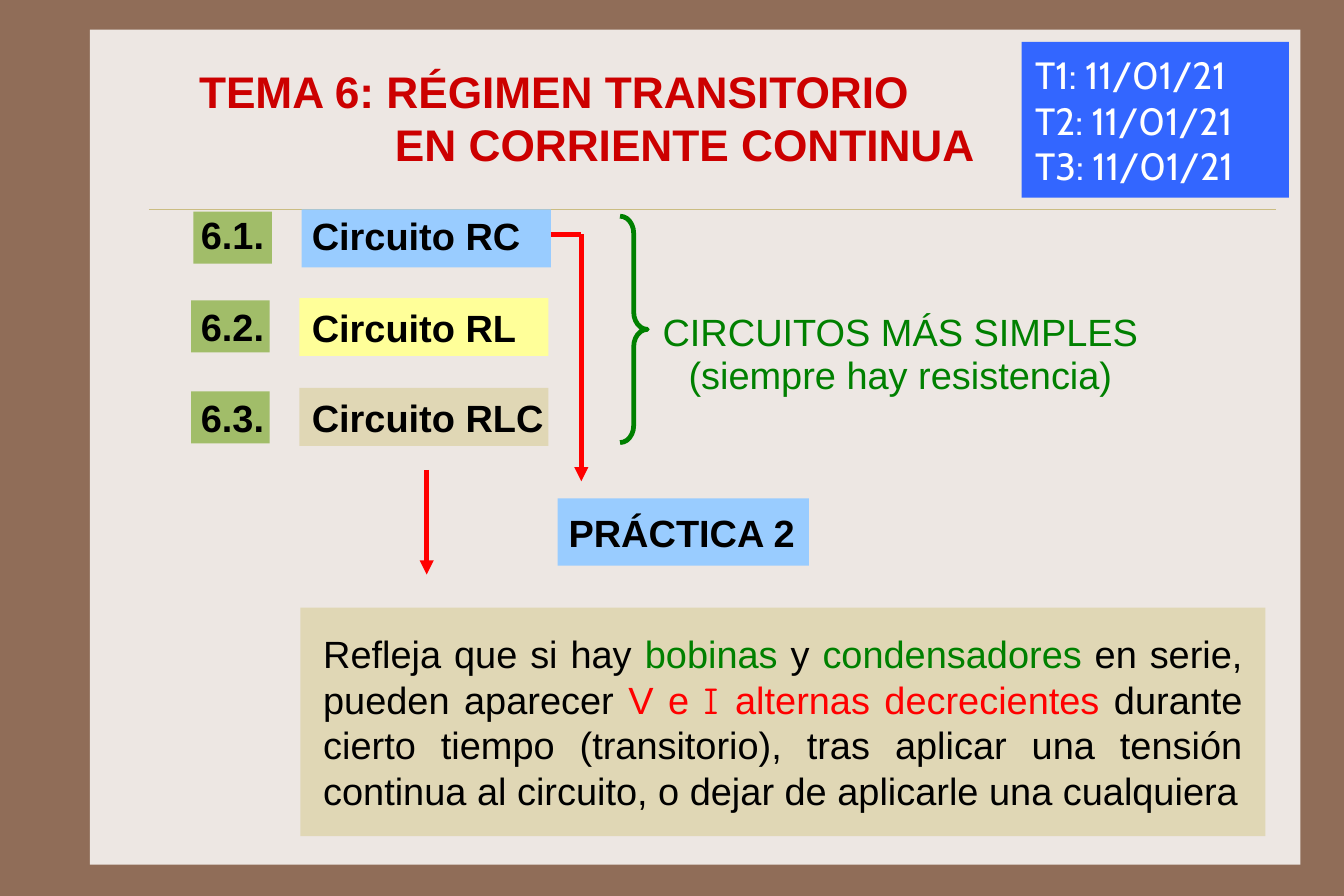
from lxml import etree
from pptx import Presentation
from pptx.dml.color import RGBColor
from pptx.enum.shapes import MSO_CONNECTOR, MSO_SHAPE
from pptx.enum.text import MSO_ANCHOR, PP_ALIGN
from pptx.oxml.ns import qn
from pptx.util import Pt

RECT, BRACE = MSO_SHAPE.RECTANGLE, MSO_SHAPE.RIGHT_BRACE
STRAIGHT = MSO_CONNECTOR.STRAIGHT
MIDDLE = MSO_ANCHOR.MIDDLE
LEFT, CENTER, JUSTIFY = PP_ALIGN.LEFT, PP_ALIGN.CENTER, PP_ALIGN.JUSTIFY

BROWN = RGBColor(0x90, 0x6D, 0x58)
PAPER = RGBColor(0xED, 0xE7, 0xE3)
RULE = RGBColor(0xCB, 0xBD, 0x83)
RED = RGBColor(0xFF, 0x00, 0x00)
DARK_RED = RGBColor(0xCC, 0x00, 0x00)
GREEN = RGBColor(0x00, 0x80, 0x00)
CHIP_GREEN = RGBColor(0xA1, 0xBD, 0x69)
SKY = RGBColor(0x99, 0xCC, 0xFF)
YELLOW = RGBColor(0xFF, 0xFF, 0x99)
SAND = RGBColor(0xE0, 0xD7, 0xB5)
BLUE = RGBColor(0x33, 0x66, 0xFF)
BLACK = RGBColor(0x00, 0x00, 0x00)
WHITE = RGBColor(0xFF, 0xFF, 0xFF)

prs = Presentation()
prs.slide_width, prs.slide_height = Pt(850.5), Pt(567)
s = prs.slides.add_slide(prs.slide_layouts[6])
s.background.fill.solid()
s.background.fill.fore_color.rgb = BROWN


def add_box(x, y, w, h, fill=None, lines=(), insets=(7, 0, 7, 0), wrap=False,
            align=LEFT, spacing=None, **font):
    """Add a box; each line is a list of (text, font overrides) runs."""
    if fill is None:
        sp = s.shapes.add_textbox(Pt(x), Pt(y), Pt(w), Pt(h))
    else:
        sp = s.shapes.add_shape(RECT, Pt(x), Pt(y), Pt(w), Pt(h))
        sp.shadow.inherit = False
        sp.fill.solid()
        sp.fill.fore_color.rgb = fill
        sp.line.fill.background()
    tf = sp.text_frame
    tf.word_wrap, tf.vertical_anchor = wrap, MIDDLE
    sides = ("margin_left", "margin_top", "margin_right", "margin_bottom")
    for side, inset in zip(sides, insets):
        setattr(tf, side, Pt(inset))
    for i, runs in enumerate(lines):
        p = tf.add_paragraph() if i else tf.paragraphs[0]
        p.alignment = align
        if spacing:
            p.line_spacing = Pt(spacing)
        for text, changes in runs:
            r = p.add_run()
            r.text = text
            style = {"name": "Arial", "size": Pt(24), "color": BLACK} | font | changes
            r.font.color.rgb = style.pop("color")
            for key, value in style.items():
                setattr(r.font, key, value)
    return sp


def add_line(x1, y1, x2, y2, color=RED, width=3, arrow=False):
    c = s.shapes.add_connector(STRAIGHT, Pt(x1), Pt(y1), Pt(x2), Pt(y2))
    c.line.color.rgb, c.line.width = color, Pt(width)
    if arrow:
        etree.SubElement(c.line._get_or_add_ln(), qn("a:tailEnd"), type="triangle")
    etree.SubElement(c._element.spPr, qn("a:effectLst"))


# Page and rule under the title
add_box(56.9, 18.7, 766, 528.5, PAPER)
add_line(94.3, 132.5, 807.8, 132.5, RULE, 0.25)

# Title, second line indented
title = add_box(118, 36, 520, 76, lines=[[("TEMA 6: RÉGIMEN TRANSITORIO", {})],
                                         [("EN CORRIENTE CONTINUA", {})]],
                insets=(8, 4, 8, 4), wrap=True, spacing=33.6,
                size=Pt(28), bold=True, color=DARK_RED)
title.text_frame.paragraphs[1]._p.get_or_add_pPr().set("marL", str(Pt(124)))

# Group dates
add_box(646.5, 26.6, 169.2, 98.6, BLUE,
        [[(f"T{group}: 11/01/21", {})] for group in (1, 2, 3)],
        insets=(8.6, 5.8, 8.6, 5.8), name="Cabin", color=WHITE)

# Numbered circuits: chip left, name left, chip top, name top, bottom inset
CIRCUITS = [("RC", SKY, 122.4, 190.9, 133.9, 132.5, 4),
            ("RL", YELLOW, 121, 189.4, 190.1, 188.6, 0),
            ("RLC", SAND, 121, 189.4, 247.7, 245.5, 0)]
for n, (kind, fill, chip_x, name_x, chip_y, name_y, drop) in enumerate(CIRCUITS, 1):
    add_box(chip_x, chip_y, 49.7, 33, CHIP_GREEN, [[(f"6.{n}.", {})]],
            insets=(127.1 - chip_x, 0, 0, drop), bold=True)
    add_box(name_x, name_y, 157.7, 36.7, fill, [[(f"Circuito {kind}", {})]],
            insets=(197.3 - name_x, 0, 0, drop), bold=True)

# Brace and its caption
brace = s.shapes.add_shape(BRACE, Pt(392.4), Pt(136.8), Pt(17.3), Pt(143.3))
brace.shadow.inherit = False
brace.fill.background()
brace.line.color.rgb, brace.line.width = GREEN, Pt(3)
brace.adjustments[0], brace.adjustments[1] = 0.63, 0.5
add_box(397, 196, 345.6, 56, lines=[[("CIRCUITOS MÁS SIMPLES", {})],
                                    [("(siempre hay resistencia)", {})]],
        wrap=True, align=CENTER, spacing=27.4, color=GREEN)

# Circuito RC leads to the lab session
add_line(348.6, 148.3, 367.9, 148.3)
add_line(367.9, 148.3, 367.9, 304.6, arrow=True)
add_box(352.8, 315.4, 159.1, 42.5, SKY, [[("PRÁCTICA 2", {})]], bold=True)

# Circuito RLC leads to its explanation
add_line(270, 297.4, 270, 363.6, arrow=True)
add_box(190.1, 384.5, 610.6, 144.7, SAND, [[
    ("Refleja que si hay ", {}),
    ("bobinas", {"color": GREEN}),
    (" y ", {}),
    ("condensadores", {"color": GREEN}),
    (" en serie, pueden aparecer ", {}),
    ("V e ", {"color": RED}),
    ("I ", {"color": RED, "name": "Comic Neue"}),
    ("alternas decrecientes ", {"color": RED}),
    ("durante cierto tiempo (transitorio), tras aplicar una tensión continua "
     "al circuito, o dejar de aplicarle una cualquiera", {}),
]], insets=(14.4, 14.4, 14.4, 14.4), wrap=True, align=JUSTIFY, spacing=28.8)

prs.save("out.pptx")
